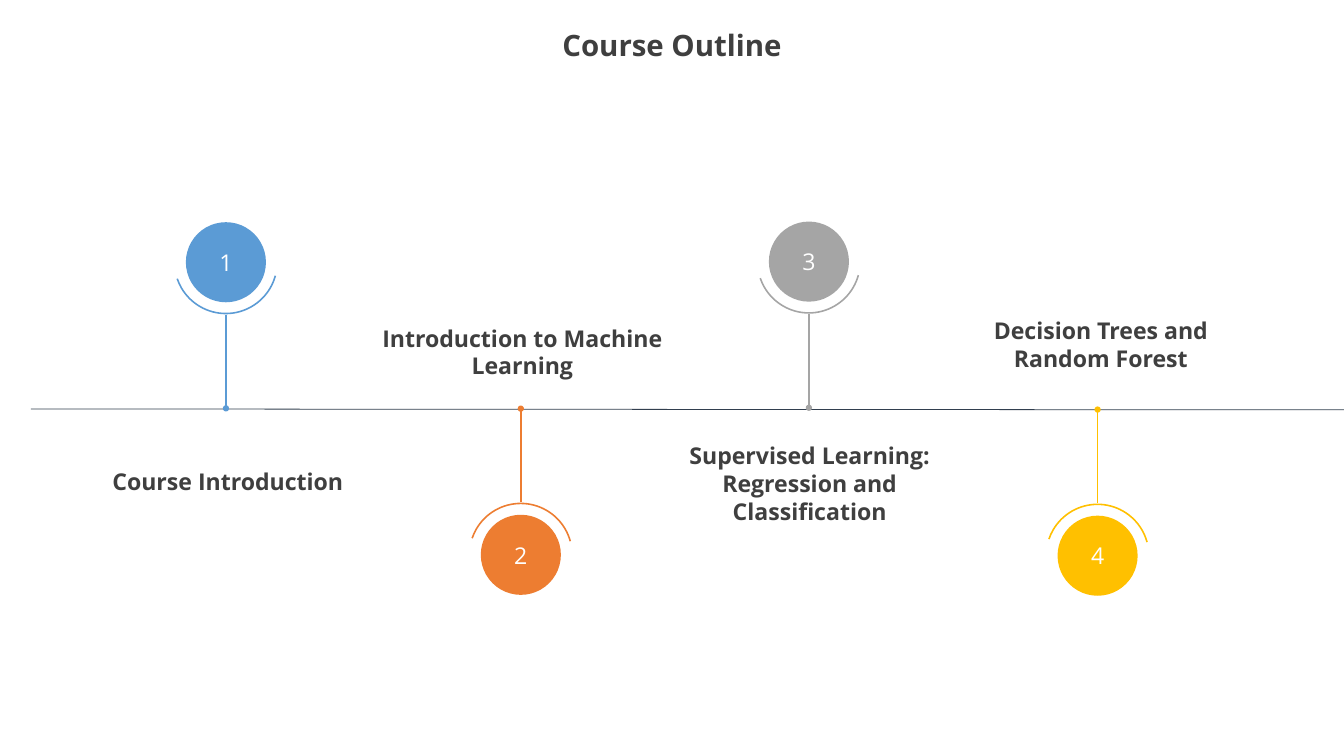
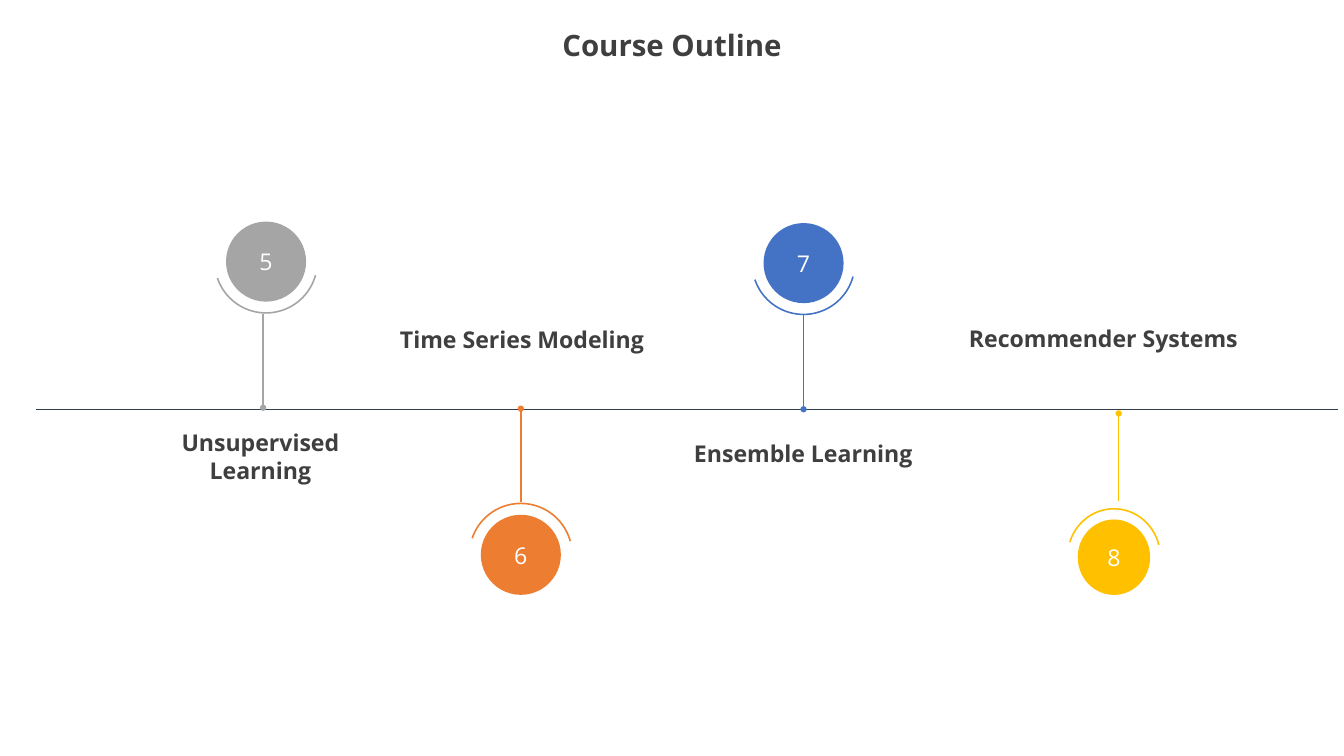
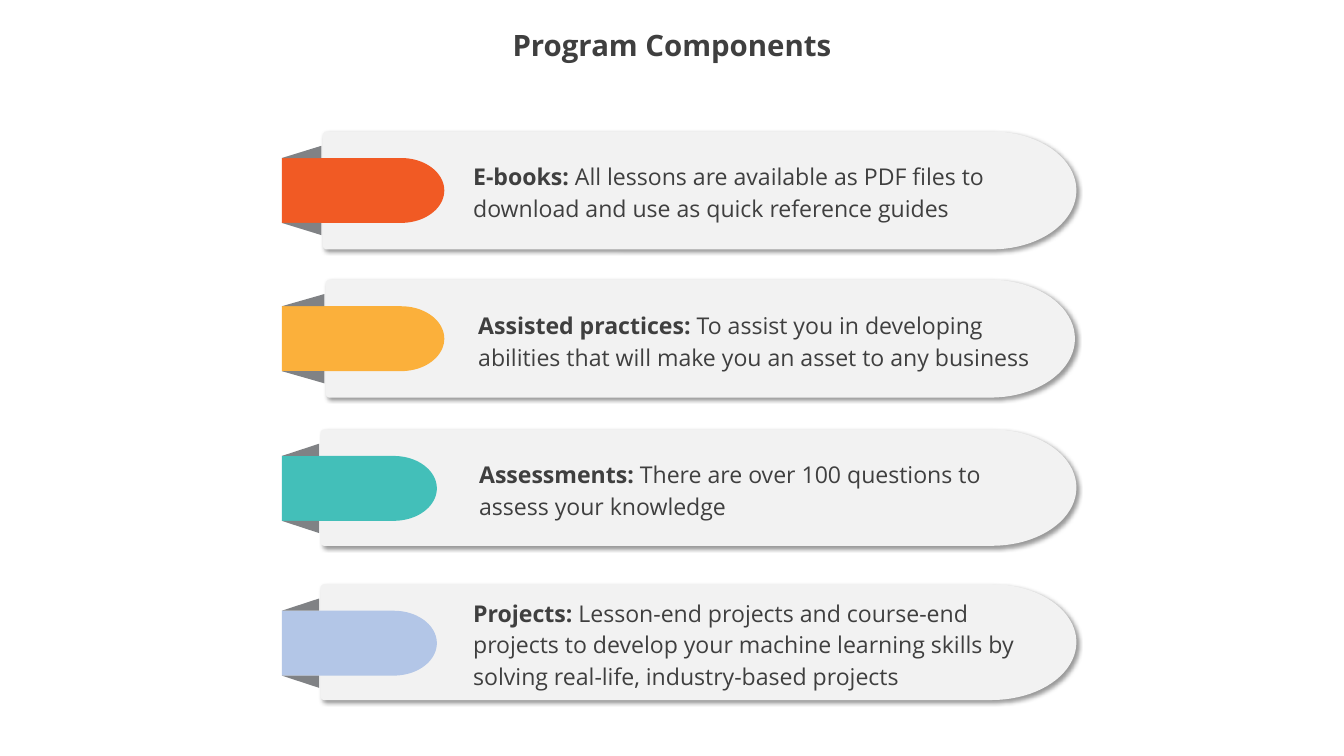
"""Build the course outline timelines and the program components slide."""
import math
from dataclasses import dataclass

import pptx
import pptx.dml.color
import pptx.enum.shapes
import pptx.enum.text
import pptx.oxml
import pptx.oxml.ns
import pptx.util

Cm = pptx.util.Cm
Pt = pptx.util.Pt
SHAPES = pptx.enum.shapes.MSO_SHAPE
ALIGN = pptx.enum.text.PP_ALIGN
ANCHOR = pptx.enum.text.MSO_ANCHOR
AUTO_SIZE = pptx.enum.text.MSO_AUTO_SIZE


@dataclass(frozen=True)
class Theme:
    font: str = "Open Sans"
    title_size: int = 28
    body_size: int = 22
    ink: str = "3F3F3F"
    white: str = "FFFFFF"
    baseline: str = "323F4F"
    card: str = "F2F2F2"
    fold: str = "808285"
    blue: str = "5B9BD5"
    orange: str = "ED7D31"
    grey: str = "A5A5A5"
    gold: str = "FFC000"
    royal: str = "4472C4"
    red: str = "F15A24"
    amber: str = "FBB03B"
    teal: str = "43BFB9"
    periwinkle: str = "B3C6E7"


THEME = Theme()


@dataclass(frozen=True)
class Milestone:
    number: int
    topic: str
    colour: str
    centre: tuple
    topic_box: tuple
    arc: tuple = (3.45, 3.45)
    stem_shift: float = 0
    stem_gap: float = 1.76
    stem_length: float = 3.15
    align: ALIGN = ALIGN.CENTER


@dataclass(frozen=True)
class Component:
    lead: str
    detail: str
    colour: str
    card: tuple
    ribbon_width: float
    detail_box: tuple
    anchor: ANCHOR
    spacing: float = 1.14


SLIDE_WIDTH, SLIDE_HEIGHT = 45.16, 25.4
BASELINE_Y = 13.74
ARC_ANGLES = (9.186, 96.726)
FULL_TURN = 216
CIRCLE_RATIO = 0.78
RIBBON_LEFT, RIBBON_DROP, RIBBON_HEIGHT = 9.47, 0.89, 2.18
FOLD_HEIGHT = 0.41

OUTLINES = [
    ((1.04, 13.74, 45.16, 13.77), [
        Milestone(1, "Course Introduction", THEME.blue, (7.59, 8.81), (3.02, 14.43, 9.27, 3.45)),
        Milestone(2, "Introduction to Machine Learning", THEME.orange, (17.5, 18.64),
                  (11.63, 10.57, 11.84, 2.49)),
        Milestone(3, "Supervised Learning: Regression and Classification", THEME.grey,
                  (27.18, 8.79), (22.71, 14.99, 8.99, 2.49)),
        Milestone(4, "Decision Trees and Random Forest", THEME.gold, (36.88, 18.67),
                  (31.62, 10.82, 10.74, 1.5)),
    ]),
    ((1.22, 13.74, 44.96, 13.74), [
        Milestone(5, "Unsupervised Learning", THEME.grey, (8.94, 8.79),
                  (4.09, 14.55, 9.32, 1.55), stem_shift=-0.1),
        Milestone(6, "Time Series Modeling", THEME.orange, (17.5, 18.64),
                  (12.65, 10.64, 9.78, 1.55)),
        Milestone(7, "Ensemble Learning", THEME.royal, (27, 8.84), (22.1, 14.5, 9.78, 1.47)),
        Milestone(8, "Recommender Systems", THEME.gold, (37.43, 18.72),
                  (32.31, 10.62, 10.54, 1.47), arc=(3.12, 3.25), stem_shift=0.16,
                  stem_gap=1.88, stem_length=2.95, align=ALIGN.LEFT),
    ]),
]

COMPONENTS = [
    Component("E-books:",
              " All lessons are available as PDF files to download and use as quick reference guides",
              THEME.red, (10.85, 4.42, 25.32, 3.96), 5.46, (15.65, 5.21, 19.79, 2.41), ANCHOR.TOP),
    Component("Assisted practices:",
              " To assist you in developing abilities that will make you an asset to any business",
              THEME.amber, (10.95, 9.4, 25.17, 3.96), 5.46, (15.82, 10.19, 19.53, 2.41),
              ANCHOR.MIDDLE),
    Component("Assessments: ", "There are over 100 questions to assess your knowledge",
              THEME.teal, (10.77, 14.43, 25.4, 3.91), 5.21, (15.85, 15.06, 17.83, 2.69),
              ANCHOR.MIDDLE),
    Component("Projects: ",
              "Lesson-end projects and course-end projects to develop your machine learning "
              "skills by solving real-life, industry-based projects",
              THEME.periwinkle, (10.77, 19.63, 25.4, 3.89), 5.21, (15.65, 19.86, 19.56, 3.51),
              ANCHOR.TOP, 1.15),
]


def rgb(colour):
    return pptx.dml.color.RGBColor.from_string(colour)


def cm_box(box):
    return [Cm(length) for length in box]


def style_font(font, colour=THEME.ink, size=THEME.body_size, bold=False):
    font.name, font.size, font.bold = THEME.font, Pt(size), bold
    font.color.rgb = rgb(colour)


def set_text(shape, text, align=ALIGN.CENTER, **style):
    frame = shape.text_frame
    frame.text = text
    frame.word_wrap = True
    frame.vertical_anchor = ANCHOR.MIDDLE
    paragraph = frame.paragraphs[0]
    paragraph.alignment = align
    style_font(paragraph.runs[0].font, **style)
    return paragraph


def add_effect_list(shape, content=""):
    effects = pptx.oxml.parse_xml(
        f'<a:effectLst {pptx.oxml.ns.nsdecls("a")}>{content}</a:effectLst>')
    shape._element.spPr.append(effects)


def add_titled_slide(deck, heading):
    slide = deck.slides.add_slide(deck.slide_layouts[5])
    title = slide.shapes.title
    title.left, title.top, title.width, title.height = cm_box((-0.03, 0.64, 45.21, 1.9))
    set_text(title, heading, size=THEME.title_size, bold=True).line_spacing = 0.9
    title.text_frame.auto_size = AUTO_SIZE.NONE
    return slide


def add_line(slide, ends, colour, width, dotted=False):
    line = slide.shapes.add_connector(pptx.enum.shapes.MSO_CONNECTOR.STRAIGHT, *cm_box(ends))
    line.line.color.rgb = rgb(colour)
    line.line.width = Pt(width)
    if dotted:
        line.line._get_or_add_ln().append(pptx.oxml.parse_xml(
            f'<a:tailEnd {pptx.oxml.ns.nsdecls("a")} type="oval"/>'))
    add_effect_list(line)


def add_centred(slide, preset, centre, size):
    (x, y), (width, height) = centre, size
    shape = slide.shapes.add_shape(
        preset, *cm_box((x - width / 2, y - height / 2, width, height)))
    shape.shadow.inherit = False
    return shape


def add_milestone(slide, stop):
    x, y = stop.centre
    above = y < BASELINE_Y
    direction = 1 if above else -1
    stem_x, stem_y = x + stop.stem_shift, y + direction * stop.stem_gap
    add_line(slide, (stem_x, stem_y, stem_x, stem_y + direction * stop.stem_length),
             stop.colour, 1.5, dotted=True)

    arc = add_centred(slide, SHAPES.ARC, stop.centre, stop.arc)
    start, end = ARC_ANGLES
    if not above:
        start, end = FULL_TURN - end, FULL_TURN - start
    arc.adjustments[0], arc.adjustments[1] = start, end
    arc.fill.background()
    arc.line.color.rgb = rgb(stop.colour)
    arc.line.width = Pt(1.5)

    circle = add_centred(slide, SHAPES.OVAL, stop.centre,
                         [side * CIRCLE_RATIO for side in stop.arc])
    circle.fill.solid()
    circle.fill.fore_color.rgb = rgb(stop.colour)
    circle.line.fill.background()
    set_text(circle, str(stop.number), colour=THEME.white)

    topic = slide.shapes.add_textbox(*cm_box(stop.topic_box))
    set_text(topic, stop.topic, stop.align, bold=True)


def quarter(x, y, radius_x, radius_y, first_angle, steps=20):
    angles = [math.radians(first_angle + 90 * step / steps) for step in range(steps + 1)]
    return [(x + radius_x * math.cos(a), y + radius_y * math.sin(a)) for a in angles]


def tab_outline(left, top, width, height, end_radius, corner=0):
    """Trace a tab with an elliptical right end and optionally rounded left corners."""
    right, bottom, half = left + width, top + height, height / 2
    end_x = right - end_radius
    points = quarter(end_x, top + half, end_radius, half, -90)
    points += quarter(end_x, top + half, end_radius, half, 0)[1:]
    if corner:
        points += quarter(left + corner, bottom - corner, corner, corner, 90)
        points += quarter(left + corner, top + corner, corner, corner, 180)
    else:
        points += [(left, bottom), (left, top)]
    return points


def add_outline(slide, points, colour):
    start, *rest = [cm_box(point) for point in points]
    builder = slide.shapes.build_freeform(*start)
    builder.add_line_segments(rest, close=True)
    shape = builder.convert_to_shape()
    shape.fill.solid()
    shape.fill.fore_color.rgb = rgb(colour)
    shape.line.fill.background()
    return shape


def add_component(slide, part):
    left, top = part.card[:2]
    card = add_outline(slide, tab_outline(*part.card, end_radius=2.84, corner=0.13), THEME.card)
    add_effect_list(card, f'<a:outerShdw blurRad="{Pt(4)}" dist="{Pt(3)}" dir="2700000" '
                          'algn="tl" rotWithShape="0"><a:srgbClr val="000000">'
                          '<a:alpha val="40000"/></a:srgbClr></a:outerShdw>')

    ribbon_top = top + RIBBON_DROP
    ribbon = add_outline(slide, tab_outline(RIBBON_LEFT, ribbon_top, part.ribbon_width,
                                            RIBBON_HEIGHT, end_radius=1.45), part.colour)
    ribbon.shadow.inherit = False
    fold_x = left - 0.05
    for edge, rise in ((ribbon_top, -FOLD_HEIGHT), (ribbon_top + RIBBON_HEIGHT, FOLD_HEIGHT)):
        fold = add_outline(slide, [(fold_x, edge + rise), (RIBBON_LEFT, edge), (fold_x, edge)],
                           THEME.fold)
        fold.shadow.inherit = False

    detail = slide.shapes.add_textbox(*cm_box(part.detail_box))
    paragraph = set_text(detail, part.lead, ALIGN.LEFT, bold=True)
    paragraph.line_spacing = part.spacing
    explanation = paragraph.add_run()
    explanation.text = part.detail
    style_font(explanation.font)
    detail.text_frame.vertical_anchor = part.anchor
    detail.text_frame.auto_size = AUTO_SIZE.SHAPE_TO_FIT_TEXT


def main():
    deck = pptx.Presentation()
    deck.slide_width, deck.slide_height = Cm(SLIDE_WIDTH), Cm(SLIDE_HEIGHT)
    for baseline, milestones in OUTLINES:
        outline = add_titled_slide(deck, "Course Outline")
        add_line(outline, baseline, THEME.baseline, 0.75)
        for stop in milestones:
            add_milestone(outline, stop)
    program = add_titled_slide(deck, "Program Components")
    for part in COMPONENTS:
        add_component(program, part)
    deck.save("out.pptx")


if __name__ == "__main__":
    main()
